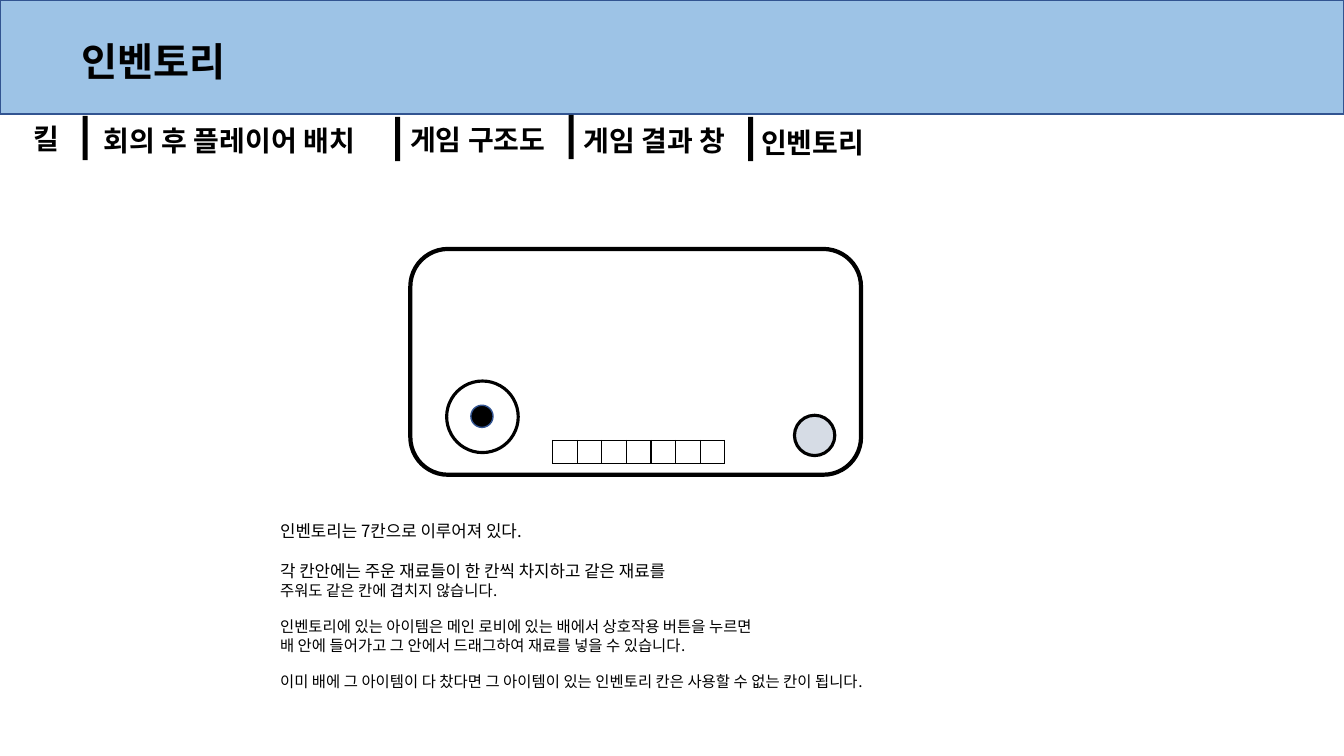
import pptx
import pptx.util
import pptx.dml.color
import pptx.enum.shapes
import pptx.enum.text
import pptx.oxml
import pptx.oxml.ns

PX = 9144  # 100 px to the inch
FONT = "Noto Sans CJK KR"
BLACK, WHITE, BAND_BLUE, EDGE_BLUE, BUTTON_GREY = "000000", "FFFFFF", "9DC3E6", "325491", "D6DCE5"
SHAPE = pptx.enum.shapes.MSO_SHAPE
NAV_ITEMS = [  # label, left, top, width
    ("킬", 23, 113, 22),
    ("회의 후 플레이어 배치", 93, 115, 303),
    ("게임 구조도", 397, 114, 170),
    ("게임 결과 창", 569, 115, 184),
    ("인벤토리", 745, 117, 131),
]
NAV_DIVIDERS = [(82, 115), (392, 116), (564, 114), (742, 116)]
NOTES = [  # text, size, starts a new block
    ("인벤토리는 7칸으로 이루어져 있다.", 12, False),
    ("각 칸안에는 주운 재료들이 한 칸씩 차지하고 같은 재료를", 12, True),
    ("주워도 같은 칸에 겹치지 않습니다.", 11, False),
    ("인벤토리에 있는 아이템은 메인 로비에 있는 배에서 상호작용 버튼을 누르면", 11, True),
    ("배 안에 들어가고 그 안에서 드래그하여 재료를 넣을 수 있습니다.", 11, False),
    ("이미 배에 그 아이템이 다 찼다면 그 아이템이 있는 인벤토리 칸은 사용할 수 없는 칸이 됩니다.", 11, True),
]


def color(value):
    return pptx.dml.color.RGBColor.from_string(value)


def px(*lengths):
    return [pptx.util.Emu(n * PX) for n in lengths]


def set_all(target, values):
    for name, value in values.items():
        setattr(target, name, value)


def add_shape(s, kind, box, fill=None, line=None, weight=1):
    sp = s.shapes.add_shape(kind, *px(*box))
    sp.shadow.inherit = False
    if fill:
        sp.fill.solid()
        sp.fill.fore_color.rgb = color(fill)
    else:
        sp.fill.background()
    if line:
        sp.line.color.rgb = color(line)
        sp.line.width = pptx.util.Pt(weight)
    else:
        sp.line.fill.background()
    return sp


def prepare_frame(sp):
    left, top = px(10, 5)
    set_all(sp.text_frame, {
        "word_wrap": True,
        "auto_size": pptx.enum.text.MSO_AUTO_SIZE.NONE,
        "vertical_anchor": pptx.enum.text.MSO_ANCHOR.TOP,
        "margin_left": left, "margin_right": left, "margin_top": top, "margin_bottom": top,
    })
    return sp.text_frame


def write(p, text, size, bold=False, leading=1.3, before=0):
    """Fill a paragraph; leading is a multiple of the text size."""
    set_all(p, {
        "alignment": pptx.enum.text.PP_ALIGN.LEFT,
        "line_spacing": pptx.util.Pt(size * leading),
        "space_before": pptx.util.Pt(before),
    })
    r = p.add_run()
    r.text = text
    set_all(r.font, {"size": pptx.util.Pt(size), "bold": bold, "name": FONT})
    r.font.color.rgb = color(BLACK)
    east_asian = pptx.oxml.parse_xml(
        f'<a:ea {pptx.oxml.ns.nsdecls("a")} typeface="{FONT}"/>')
    r.font._element.append(east_asian)


def header(s, box):
    x, y, w, h = box
    band = add_shape(s, SHAPE.RECTANGLE, box, BAND_BLUE, EDGE_BLUE)
    title = s.shapes.title
    band._element.addnext(title._element)
    set_all(title, dict(zip(("left", "top", "width", "height"), px(x + 71, y + 28, 1029, 57))))
    write(prepare_frame(title).paragraphs[0], "인벤토리", 28, bold=True)


def navigation(s):
    for label, x, y, w in NAV_ITEMS:
        tf = prepare_frame(s.shapes.add_textbox(*px(x, y, w, 44)))
        write(tf.paragraphs[0], label, 20, bold=True)
    for x, y in NAV_DIVIDERS:
        add_shape(s, SHAPE.RECTANGLE, (x, y, 5, 44), BLACK)


def game_screen(s, box):
    """Phone screen with joystick, action button and inventory slots."""
    x, y, w, h = box
    add_shape(s, SHAPE.ROUNDED_RECTANGLE, box, None, BLACK, 3)
    add_shape(s, SHAPE.OVAL, (x + 36, y + 131, 71, 71), None, BLACK, 2.25)
    add_shape(s, SHAPE.OVAL, (x + 60, y + 155, 22, 22), BLACK, EDGE_BLUE)
    add_shape(s, SHAPE.OVAL, (x + 381, y + 165, 40, 40), BUTTON_GREY, BLACK, 2.25)
    inventory(s, (x + 141, y + 190, 171, 23), 7)


def inventory(s, box, slots):
    frame = s.shapes.add_table(1, slots, *px(*box))
    table = frame.table
    set_all(table, {"first_row": False, "horz_banding": False})
    for column in table.columns:
        column.width = box[2] * PX // slots
    for cell in table.iter_cells():
        set_all(cell, {"margin_left": 0, "margin_right": 0, "margin_top": 0, "margin_bottom": 0})
        tcPr = cell._tc.get_or_add_tcPr()
        for side in "LRTB":
            tcPr.append(pptx.oxml.parse_xml(
                f'<a:ln{side} {pptx.oxml.ns.nsdecls("a")} w="12700"><a:solidFill>'
                f'<a:srgbClr val="{BLACK}"/></a:solidFill></a:ln{side}>'))
        cell.fill.solid()
        cell.fill.fore_color.rgb = color(WHITE)
        cell.text_frame.paragraphs[0]._p.get_or_add_endParaRPr().set("sz", "800")


def notes(s, box):
    tf = prepare_frame(s.shapes.add_textbox(*px(*box)))
    leading = 1.19
    for i, (text, size, new_block) in enumerate(NOTES):
        p = tf.add_paragraph() if i else tf.paragraphs[0]
        write(p, text, size, leading=leading, before=size * leading if new_block else 0)


def main():
    prs = pptx.Presentation()
    prs.slide_width, prs.slide_height = px(1333, 750)
    s = prs.slides.add_slide(prs.slide_layouts[5])
    header(s, (0, 0, 1333, 113))
    navigation(s)
    notes(s, (268, 512, 673, 182))
    game_screen(s, (407, 247, 447, 224))
    prs.save("out.pptx")


if __name__ == "__main__":
    main()
